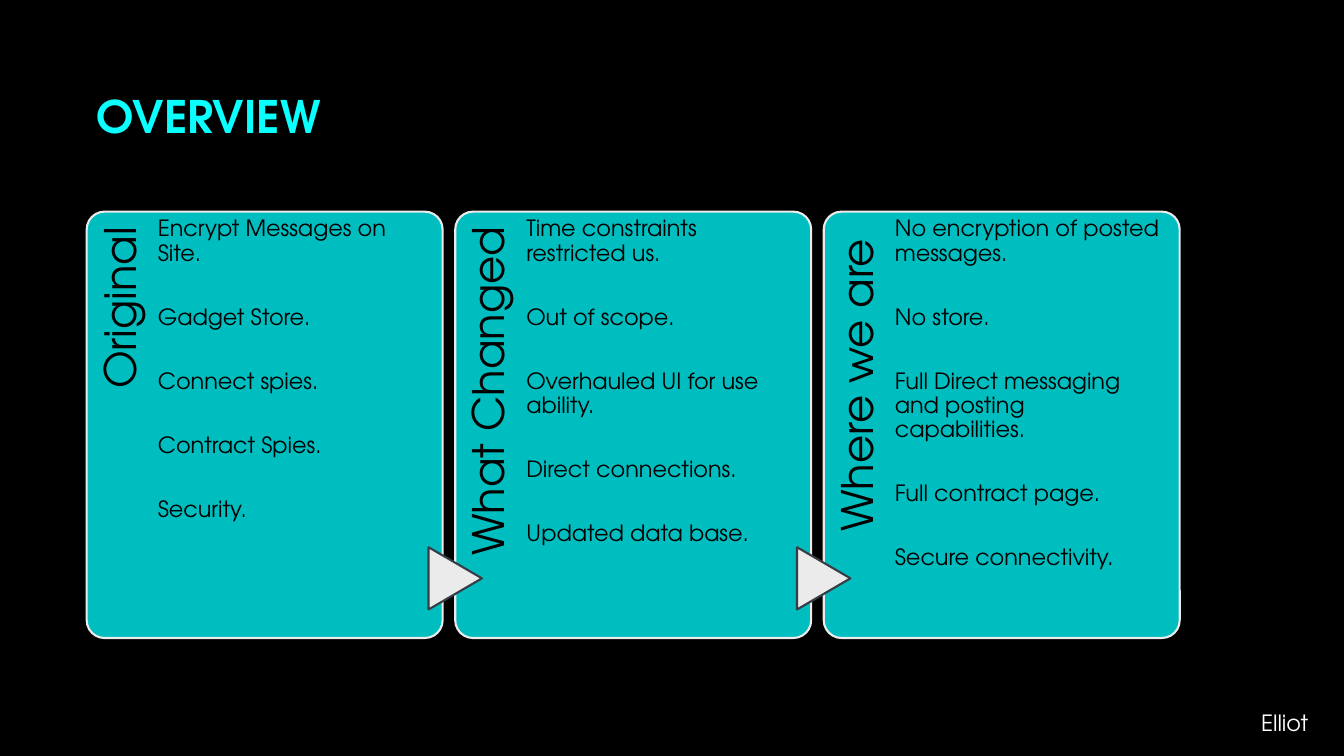
from dataclasses import dataclass

from pptx import Presentation
from pptx.dml.color import RGBColor
from pptx.enum.shapes import MSO_SHAPE
from pptx.enum.text import MSO_ANCHOR, PP_ALIGN
from pptx.util import Inches, Pt

FONT = "TeX Gyre Adventor"
COLORS = {
    "background": "000000",
    "title": "0AFFFF",
    "card": "00BEC0",
    "light": "EBEBEB",
    "arrow_edge": "363D46",
    "ink": "000000",
    "presenter": "FFFFFF",
}
STAGES = [
    ("Original", ["Encrypt Messages on Site.", "Gadget Store.", "Connect spies.",
                  "Contract Spies.", "Security."]),
    ("What Changed ", ["Time constraints restricted us.", "Out of scope.",
                       "Overhauled UI for use ability.", "Direct connections.",
                       "Updated data base."]),
    ("Where we are ", ["No encryption of posted messages.", "No store.",
                       "Full Direct messaging and posting capabilities.",
                       "Full contract page.", "Secure connectivity."]),
]

# Slide grid: 62 columns by 50 rows
SLIDE_WIDTH, SLIDE_HEIGHT = Inches(13.33), Inches(7.5)
COLUMN, ROW = SLIDE_WIDTH / 62, SLIDE_HEIGHT / 50


@dataclass
class Box:
    left: float
    top: float
    width: float
    height: float

    def emu(self):
        return [round(v) for v in (self.left, self.top, self.width, self.height)]

    def share(self, x, y, width, height):
        """Box given as shares of this one."""
        return Box(self.left + x * self.width, self.top + y * self.height,
                   width * self.width, height * self.height)


def grid_box(column, row, columns, rows):
    return Box(column * COLUMN, row * ROW, columns * COLUMN, rows * ROW)


def rgb(name):
    return RGBColor.from_string(COLORS[name])


def format_text(frame, size, color, bold=False):
    for paragraph in frame.paragraphs:
        for run in paragraph.runs:
            run.font.name, run.font.size, run.font.bold = FONT, Pt(size), bold
            run.font.color.rgb = rgb(color)


def set_margins(frame, left, top, right, bottom):
    frame.margin_left, frame.margin_top = Inches(left), Inches(top)
    frame.margin_right, frame.margin_bottom = Inches(right), Inches(bottom)


def add_text(slide, box, lines, size, color):
    textbox = slide.shapes.add_textbox(*box.emu())
    frame = textbox.text_frame
    frame.word_wrap = True
    frame.text = "\n".join(lines)
    format_text(frame, size, color)
    return textbox


def add_outlined(slide, kind, box, fill, edge):
    outlined = slide.shapes.add_shape(kind, *box.emu())
    outlined.shadow.inherit = False
    outlined.fill.solid()
    outlined.fill.fore_color.rgb = rgb(fill)
    outlined.line.color.rgb = rgb(edge)
    outlined.line.width = Pt(1.5)
    return outlined


def add_title(slide, box):
    title = slide.shapes.title
    title.left, title.top, title.width, title.height = box.emu()
    frame = title.text_frame
    frame.text = "OVERVIEW"
    frame.vertical_anchor = MSO_ANCHOR.MIDDLE
    frame.paragraphs[0].alignment = PP_ALIGN.LEFT
    format_text(frame, 32, "title", bold=True)


def add_stage(slide, box, heading, points, has_arrow):
    # Card
    card = add_outlined(slide, MSO_SHAPE.ROUNDED_RECTANGLE, box, "card", "light")
    card.adjustments[0] = 0.05

    # Heading turned to read upwards along the left edge
    band = box.share(0, 0, 0.2, 0.82)
    turned = Box(band.left + (band.width - band.height) / 2,
                 band.top + (band.height - band.width) / 2, band.height, band.width)
    label = add_text(slide, turned, [heading], 31, "ink")
    label.rotation = 270
    set_margins(label.text_frame, 0, 0.12, 0.15, 0)
    label.text_frame.paragraphs[0].alignment = PP_ALIGN.RIGHT
    label.text_frame.paragraphs[0].line_spacing = 0.9

    # Arrow from the previous card
    if has_arrow:
        width, height = 0.175 * box.width, 0.15 * box.width
        arrow_box = Box(box.left - width / 2, box.top + 0.86 * box.height - height / 2,
                        width, height)
        arrow = add_outlined(slide, MSO_SHAPE.FLOWCHART_EXTRACT, arrow_box,
                             "light", "arrow_edge")
        arrow.rotation = 90

    # Points
    notes = add_text(slide, box.share(0.2, 0, 0.745, 1), points, 16, "ink").text_frame
    set_margins(notes, 0, 0.06, 0, 0)
    for paragraph in notes.paragraphs:
        paragraph.line_spacing = 0.9
        paragraph.space_after = Pt(28.5)


def add_stages(slide, box):
    gap = 0.58 * COLUMN
    width = (box.width - gap * (len(STAGES) - 1)) / len(STAGES)
    for i, (heading, points) in enumerate(STAGES):
        card_box = Box(box.left + i * (width + gap), box.top, width, box.height)
        add_stage(slide, card_box, heading, points, has_arrow=i > 0)


def main():
    deck = Presentation()
    deck.slide_width, deck.slide_height = SLIDE_WIDTH, SLIDE_HEIGHT
    slide = deck.slides.add_slide(deck.slide_layouts[5])
    slide.background.fill.solid()
    slide.background.fill.fore_color.rgb = rgb("background")

    add_title(slide, grid_box(4, 0.73, 50.4, 13.87))
    add_text(slide, grid_box(57.72, 46.6, 4.28, 2.47), ["Elliot"], 16, "presenter")
    add_stages(slide, grid_box(4, 14, 50.42, 28.2))
    deck.save("out.pptx")


if __name__ == "__main__":
    main()
